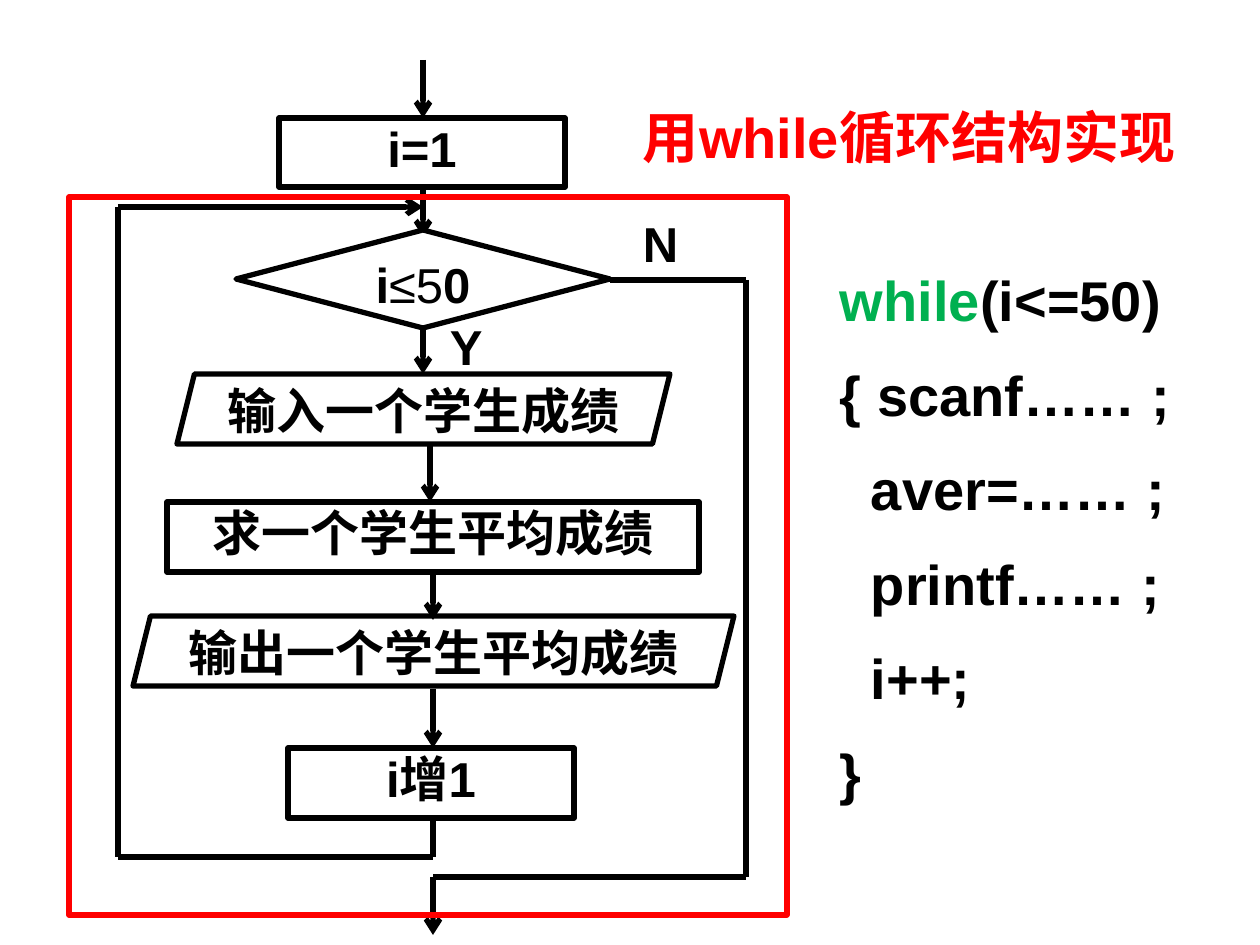
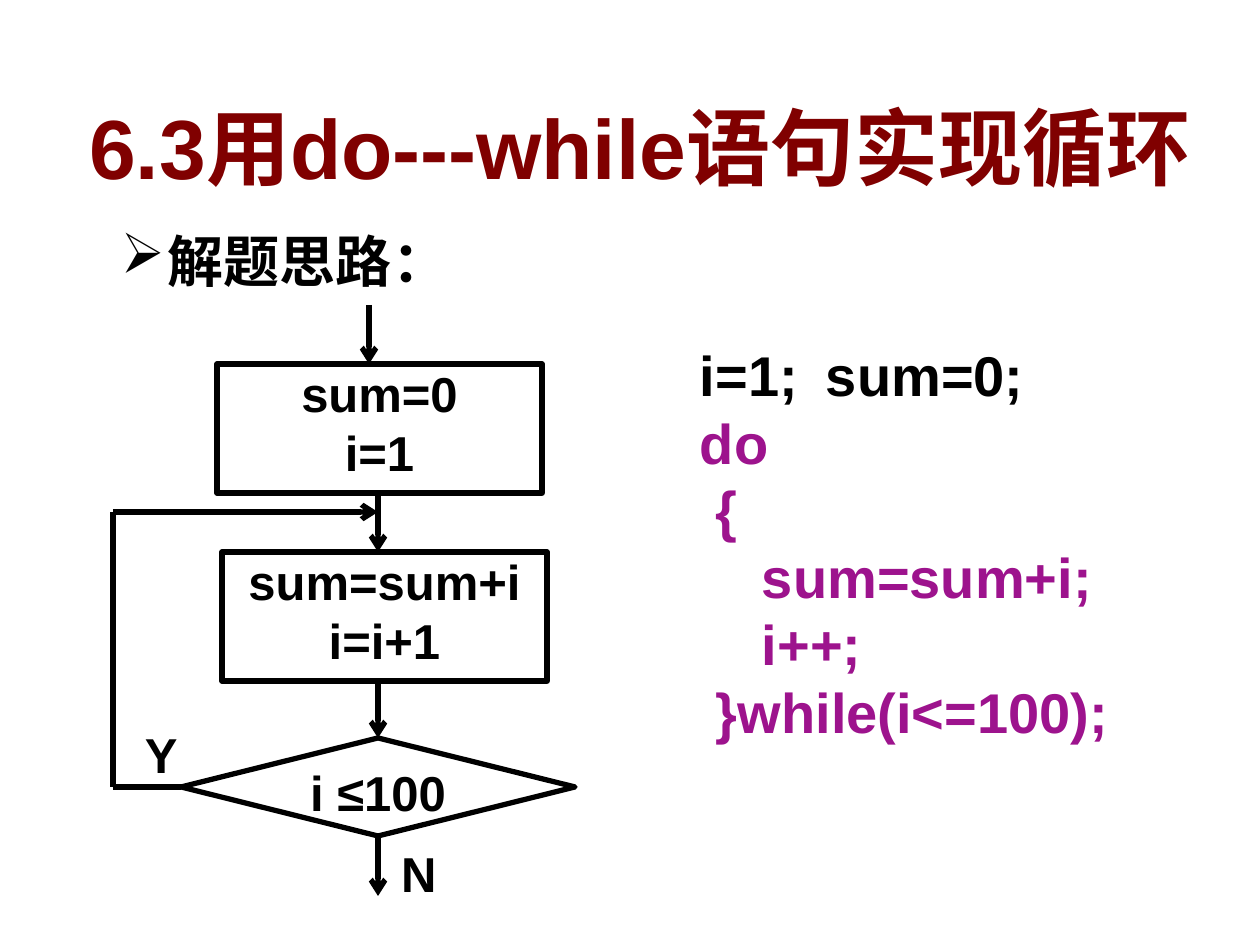
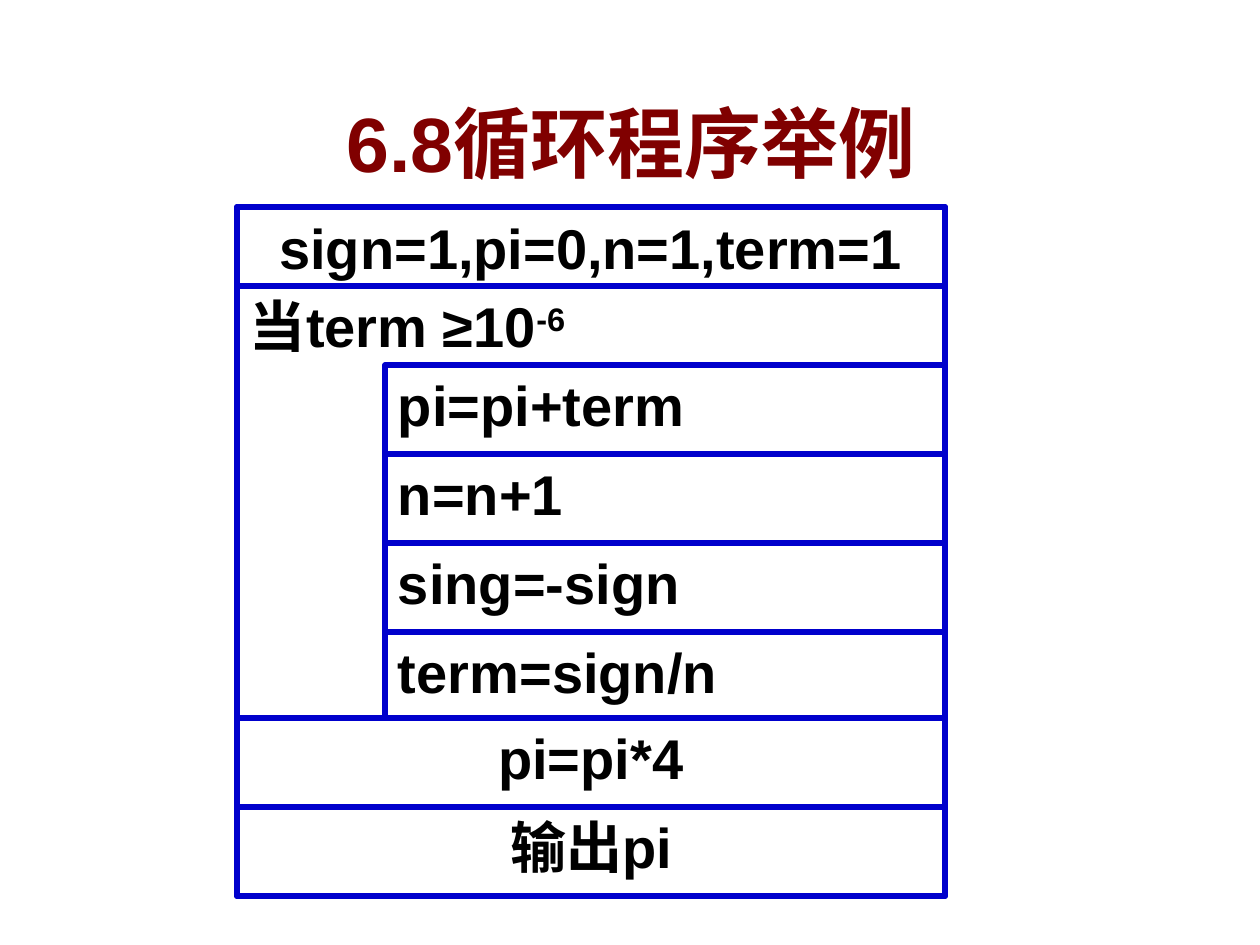
from lxml import etree
from pptx import Presentation
from pptx.dml.color import RGBColor
from pptx.enum.shapes import MSO_CONNECTOR as Link, MSO_SHAPE as Form
from pptx.enum.text import MSO_ANCHOR as Anchor, PP_ALIGN as Align
from pptx.oxml import parse_xml
from pptx.oxml.ns import nsdecls, qn
from pptx.util import Emu, Pt

FONT = "Arial"
BLACK, WHITE, RED, GREEN = "000000", "FFFFFF", "FF0000", "00B050"
MAROON, PURPLE, BLUE = "800000", "9D138D", "0000CC"
LINE_WIDTH = 3
PX_PER_INCH = 126
PAD = (13, 6)  # side and top text margins


def px(count):
    return Emu(round(count * 914400 / PX_PER_INCH))


def color(code):
    return RGBColor.from_string(code)


# ---- text ----
def add_span(para, text, size, code=BLACK, bold=True):
    span = para.add_run()
    span.text = text
    font = span.font
    font.name, font.size, font.bold = FONT, Pt(size), bold
    font.color.rgb = color(code)
    etree.SubElement(font._element, qn("a:ea")).set("typeface", FONT)
    return span


def set_frame(frame, margins=PAD, wrap=True, anchor=Anchor.TOP):
    frame.word_wrap = wrap
    frame.vertical_anchor = anchor
    frame.margin_left = frame.margin_right = px(margins[0])
    frame.margin_top = frame.margin_bottom = px(margins[1])


def fill_lines(frame, lines, size, align=Align.LEFT):
    """Write each line, a list of (text, colour) or (text, colour, bold) spans."""
    paras = [frame.paragraphs[0]]
    paras += [frame.add_paragraph() for _ in lines[1:]]
    for para, spans in zip(paras, lines):
        para.alignment = align
        for text, *style in spans:
            add_span(para, text, size, *style)
    return paras


def add_text(page, box, lines, size):
    frame = page.shapes.add_textbox(*map(px, box)).text_frame
    set_frame(frame)
    return fill_lines(frame, lines, size)


def indent(para, left, hang=0):
    props = para._p.get_or_add_pPr()
    props.set("marL", str(px(left)))
    props.set("indent", str(px(hang)))
    return props


def space_out(para):
    para.line_spacing = 1.2
    para.space_before = Pt(8)


def set_title(page, box, text, size):
    title = page.shapes.title
    title.left, title.top, title.width, title.height = map(px, box)
    set_frame(title.text_frame, anchor=Anchor.MIDDLE)
    para = fill_lines(title.text_frame, [[(text, MAROON)]], size, Align.CENTER)[0]
    shadow = parse_xml(
        f'<a:effectLst {nsdecls("a")}><a:outerShdw dist="38100" dir="2700000">'
        '<a:srgbClr val="C0C0C0"/></a:outerShdw></a:effectLst>')
    para.runs[0].font._element.find(qn("a:solidFill")).addnext(shadow)


# ---- shapes and lines ----
def add_outline(shapes, form, box, line=BLACK, fill=WHITE):
    shape = shapes.add_shape(form, *map(px, box))
    shape.shadow.inherit = False
    if fill:
        shape.fill.solid()
        shape.fill.fore_color.rgb = color(fill)
    else:
        shape.fill.background()
    shape.line.color.rgb = color(line)
    shape.line.width = Pt(LINE_WIDTH)
    return shape


def add_step(page, form, box, *lines):
    frame = add_outline(page.shapes, form, box).text_frame
    set_frame(frame, (0, 0), wrap=False)
    fill_lines(frame, lines, 28, Align.CENTER)


def add_path(page, *points, arrow=True):
    """Join the points with straight lines; an arrowhead ends the last one."""
    for start, end in zip(points, points[1:]):
        line = page.shapes.add_connector(Link.STRAIGHT, *map(px, start + end))
        line.line.color.rgb = color(BLACK)
        line.line.width = Pt(LINE_WIDTH)
        etree.SubElement(line._element.spPr, qn("a:effectLst"))
        if arrow and end == points[-1]:
            etree.SubElement(line.line._get_or_add_ln(), qn("a:tailEnd")).set("type", "arrow")


def add_branch_label(page, left, top, text):
    add_text(page, (left, top, 69, 72), [[(text, BLACK)]], 28)


# ---- while loop ----
def draw_while_flow(page, left, top, width, height):
    middle, lower = left + 354, left + 364
    back, exit_side = left + 49, left + 677

    add_path(page, (middle, top - 137), (middle, top - 79))
    add_step(page, Form.FLOWCHART_PROCESS, (left + 210, top - 79, 286, 69), [("i=1", BLACK)])
    add_path(page, (middle, top - 10), (middle, top + 40))
    add_step(page, Form.FLOWCHART_DECISION, (left + 167, top + 33, 374, 98),
             [("i", BLACK), ("≤5", BLACK, False), ("0", BLACK)])

    steps = [
        (Form.PARALLELOGRAM, 108, 177, 493, "输入一个学生成绩"),
        (Form.FLOWCHART_PROCESS, 98, 305, 532, "求一个学生平均成绩"),
        (Form.PARALLELOGRAM, 64, 419, 601, "输出一个学生平均成绩"),
        (Form.FLOWCHART_PROCESS, 219, 551, 286, "i增1"),
    ]
    for form, x, y, step_width, text in steps:
        add_step(page, form, (left + x, top + y, step_width, 70), [(text, BLACK)])
    for x, start, end in [(middle, 128, 177), (left + 361, 247, 305),
                          (lower, 374, 423), (lower, 492, 551)]:
        add_path(page, (x, top + start), (x, top + end))

    # Loop back and exit
    add_path(page, (lower, top + 620), (lower, top + 660), (back, top + 660),
             (back, top + 10), (middle, top + 10))
    add_path(page, (left + 541, top + 83), (exit_side, top + 83),
             (exit_side, top + 680), (lower, top + 680), (lower, top + 738))
    add_branch_label(page, left + 368, top + 114, "Y")
    add_branch_label(page, left + 561, top + 10, "N")
    add_outline(page.shapes, Form.RECTANGLE, (left, top, width, height), RED, None)


def write_while_code(page, box):
    lines = [[("while", GREEN), ("(i<=50)", BLACK)]]
    lines += [[(text, BLACK)] for text in
              ("{ scanf…… ;", "aver=…… ;", "printf…… ;", "i++;", "}")]
    for row, para in enumerate(add_text(page, box, lines, 32)):
        indent(para, 31 if row in (2, 3, 4) else 0)
        space_out(para)


def build_while_page(page):
    draw_while_flow(page, 69, 197, 718, 718)
    add_text(page, (630, 97, 601, 81), [[("用while循环结构实现", RED)]], 32)
    write_while_code(page, (827, 246, 374, 581))


# ---- do-while loop ----
def draw_do_flow(page, left, top):
    middle, back = left + 265, left
    add_path(page, (left + 256, top), (left + 256, top + 59))
    add_step(page, Form.FLOWCHART_PROCESS, (left + 104, top + 59, 325, 129),
             [("sum=0", BLACK)], [("i=1", BLACK)])
    add_step(page, Form.FLOWCHART_PROCESS, (left + 109, top + 247, 325, 129),
             [("sum=sum+i", BLACK)], [("i=i+1", BLACK)])
    add_step(page, Form.FLOWCHART_DECISION, (left + 68, top + 433, 394, 98),
             [("i ≤100", BLACK)])
    for start, end in [(188, 247), (374, 433), (532, 591)]:
        add_path(page, (middle, top + start), (middle, top + end))

    # Loop back
    add_path(page, (left + 68, top + 482), (back, top + 482),
             (back, top + 207), (middle, top + 207))
    add_branch_label(page, left + 19, top + 413, "Y")
    add_branch_label(page, left + 275, top + 532, "N")


def write_do_code(page, box):
    lines = [[("i=1;\tsum=0;", BLACK)]]
    lines += [[(text, PURPLE)] for text in
              ("do", "{", "sum=sum+i;", "i++;", "}while(i<=100);")]
    paras = add_text(page, box, lines, 32)
    for para, left in zip(paras, (0, 0, 16, 62, 62, 16)):
        indent(para, left)
    stops = etree.SubElement(paras[0]._p.pPr, qn("a:tabLst"))
    etree.SubElement(stops, qn("a:tab"), pos=str(px(145)), algn="l")


def build_do_page(page):
    set_title(page, (59, 39, 1162, 214), "6.3用do---while语句实现循环", 48)
    heading = add_text(page, (108, 207, 462, 118), [[("解题思路：", BLACK)]], 32)[0]
    space_out(heading)
    bullet = etree.SubElement(indent(heading, 47, -47), qn("a:buChar"))
    bullet.set("char", "➢")
    draw_do_flow(page, 113, 305)
    write_do_code(page, (687, 335, 504, 462))


# ---- structure chart ----
def draw_structure(page, left, top, width, height):
    shapes = page.shapes.add_group_shape().shapes
    inner, row = 148, 89
    loop_top, body_top = 79, 158
    after = height - 2 * row

    def add_block(x, y, block_height, text="", align=Align.LEFT):
        shape = add_outline(shapes, Form.FLOWCHART_PROCESS,
                            (left + x, top + y, width - x, block_height), BLUE)
        set_frame(shape.text_frame, wrap=False)
        if text:
            return fill_lines(shape.text_frame, [[(text, BLACK)]], 32, align)[0]

    add_block(0, 0, height)
    add_block(0, 0, loop_top, "sign=1,pi=0,n=1,term=1", Align.CENTER)
    condition = add_block(0, loop_top, after - loop_top, "当term ≥10")
    add_span(condition, "-6", 32).font._element.set("baseline", "30000")
    for index, text in enumerate(("pi=pi+term", "n=n+1", "sing=-sign", "term=sign/n")):
        add_block(inner, body_top + index * row, row, text)
    for index, text in enumerate(("pi=pi*4", "输出pi")):
        add_block(0, after + index * row, row, text, Align.CENTER)


def build_example_page(page):
    set_title(page, (178, 89, 906, 106), "6.8循环程序举例", 44)
    draw_structure(page, 237, 207, 708, 689)


def main():
    deck = Presentation()
    deck.slide_width, deck.slide_height = px(1260), px(945)
    title_only, blank = deck.slide_layouts[5], deck.slide_layouts[6]
    for layout, build in [(blank, build_while_page), (title_only, build_do_page),
                          (title_only, build_example_page)]:
        build(deck.slides.add_slide(layout))
    deck.save("out.pptx")


if __name__ == "__main__":
    main()
